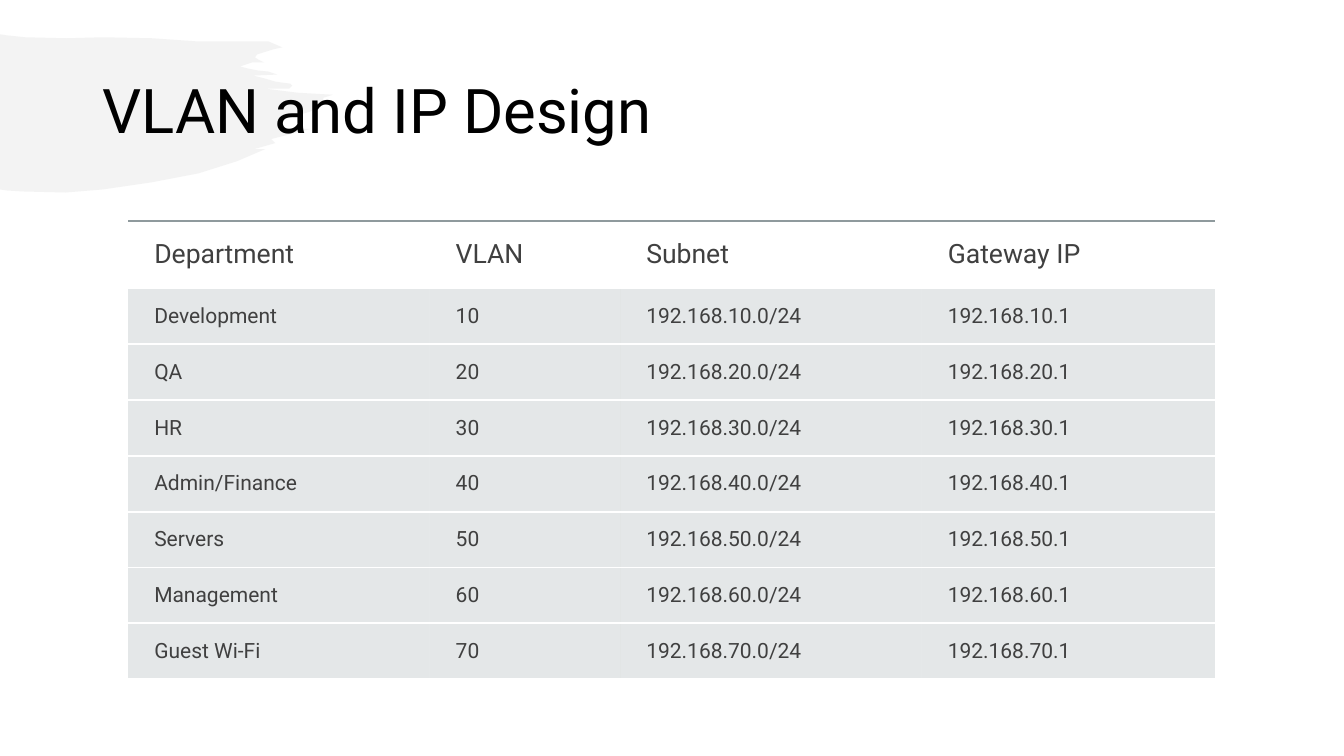
from lxml.etree import SubElement
from pptx import Presentation
from pptx.dml.color import RGBColor
from pptx.enum.text import MSO_ANCHOR
from pptx.oxml.ns import qn
from pptx.util import Inches, Pt

SLIDE_WIDTH, SLIDE_HEIGHT = Inches(13.33), Inches(7.5)
GRID_STEP = SLIDE_HEIGHT // 750
FONT = "Roboto"
BLACK = RGBColor(0x00, 0x00, 0x00)
WHITE = RGBColor(0xFF, 0xFF, 0xFF)
CELL_TEXT = RGBColor(0x40, 0x40, 0x40)
TOP_RULE = RGBColor(0x8F, 0x9A, 0x9D)
ROW_FILL = RGBColor(0xB4, 0xBC, 0xBE)
BRUSH_FILL = RGBColor(0xE8, 0xE8, 0xE8)

HEADINGS = ("Department", "VLAN", "Subnet", "Gateway IP")
DEPARTMENTS = ("Development", "QA", "HR", "Admin/Finance", "Servers",
               "Management", "Guest Wi-Fi")
COLUMN_SHARES = (22.43, 14.18, 22.43, 21.83)
HEADING_SHARE, ROW_SHARE = 8.93, 7.39

BRUSH_OUTLINE = (
    (0, 34), (6, 35), (25, 37), (66, 38), (102, 37), (151, 38), (194, 41),
    (248, 41), (266, 41), (280, 47), (271, 49), (255, 54), (253, 57), (256, 59),
    (262, 62), (250, 62), (238, 66), (246, 68), (256, 70), (266, 71), (275, 74),
    (251, 75), (263, 78), (273, 81), (280, 82), (288, 83), (290, 85),
    (287, 88), (284, 88), (263, 88), (295, 92), (330, 94), (321, 97), (318, 106),
    (307, 111), (300, 113), (283, 116), (280, 120), (278, 125), (274, 128),
    (308, 128), (269, 138), (273, 142), (252, 148), (263, 148), (235, 160),
    (197, 172), (150, 181), (102, 188), (65, 191), (23, 190), (7, 189), (0, 188),
)


def across(percent):
    return round(SLIDE_WIDTH * percent / 100)


def down(percent):
    return round(SLIDE_HEIGHT * percent / 100)


def set_opacity(color_parent, percent):
    color = next(color_parent.iter(qn("a:srgbClr")))
    SubElement(color, qn("a:alpha"), val=str(percent * 1000))


def add_run(paragraph, text, size, color):
    run = paragraph.add_run()
    run.text = text
    run.font.name = FONT
    run.font.size = Pt(size)
    run.font.color.rgb = color


def add_brush_stroke(slide):
    builder = slide.shapes.build_freeform(*BRUSH_OUTLINE[0], scale=GRID_STEP)
    builder.add_line_segments(BRUSH_OUTLINE[1:], close=True)
    brush = builder.convert_to_shape()
    brush.shadow.inherit = False
    brush.line.fill.background()
    brush.fill.solid()
    brush.fill.fore_color.rgb = BRUSH_FILL
    set_opacity(brush.fill._xPr.find(qn("a:solidFill")), 50)


def add_title(slide, text):
    title = slide.shapes.add_textbox(across(6.9), down(5.33), across(86.25), down(19.33))
    frame = title.text_frame
    frame.word_wrap = True
    frame.vertical_anchor = MSO_ANCHOR.MIDDLE
    paragraph = frame.paragraphs[0]
    paragraph.line_spacing = 0.9
    add_run(paragraph, text, 44, BLACK)


def add_border(cell, side, color=None, opacity=100):
    line = SubElement(cell._tc.get_or_add_tcPr(), qn(f"a:ln{side}"), w=str(Pt(1.5)))
    if color is None:
        SubElement(line, qn("a:noFill"))
        return
    fill = SubElement(line, qn("a:solidFill"))
    SubElement(fill, qn("a:srgbClr"), val=str(color))
    set_opacity(fill, opacity)


def fill_cell(cell, text, is_heading):
    margin = across(1.2) if is_heading else across(1.05)
    cell.margin_left = across(1.95)
    cell.margin_right = cell.margin_top = cell.margin_bottom = margin
    cell.vertical_anchor = MSO_ANCHOR.MIDDLE
    add_run(cell.text_frame.paragraphs[0], text, 19 if is_heading else 15, CELL_TEXT)
    add_border(cell, "L")
    add_border(cell, "R")
    if is_heading:
        add_border(cell, "T", TOP_RULE, 60)
    else:
        add_border(cell, "T", WHITE)
    add_border(cell, "B", WHITE)
    if is_heading:
        cell.fill.background()
    else:
        cell.fill.solid()
        cell.fill.fore_color.rgb = ROW_FILL
        set_opacity(cell._tc.tcPr.find(qn("a:solidFill")), 35)


def add_vlan_table(slide):
    records = [HEADINGS] + [
        (department, str(vlan), f"192.168.{vlan}.0/24", f"192.168.{vlan}.1")
        for vlan, department in zip(range(10, 80, 10), DEPARTMENTS)
    ]
    row_shares = [HEADING_SHARE] + [ROW_SHARE] * len(DEPARTMENTS)
    table = slide.shapes.add_table(
        len(records), len(HEADINGS), across(9.53), down(29.2),
        across(sum(COLUMN_SHARES)), down(sum(row_shares))).table
    table.first_row = False
    table.horz_banding = False
    for column, share in zip(table.columns, COLUMN_SHARES):
        column.width = across(share)
    for row, share, record in zip(table.rows, row_shares, records):
        row.height = down(share)
        for cell, text in zip(row.cells, record):
            fill_cell(cell, text, record is HEADINGS)


def main():
    presentation = Presentation()
    presentation.slide_width = SLIDE_WIDTH
    presentation.slide_height = SLIDE_HEIGHT
    slide = presentation.slides.add_slide(presentation.slide_layouts[6])
    add_brush_stroke(slide)
    add_title(slide, "VLAN and IP Design")
    add_vlan_table(slide)
    presentation.save("out.pptx")


if __name__ == "__main__":
    main()
